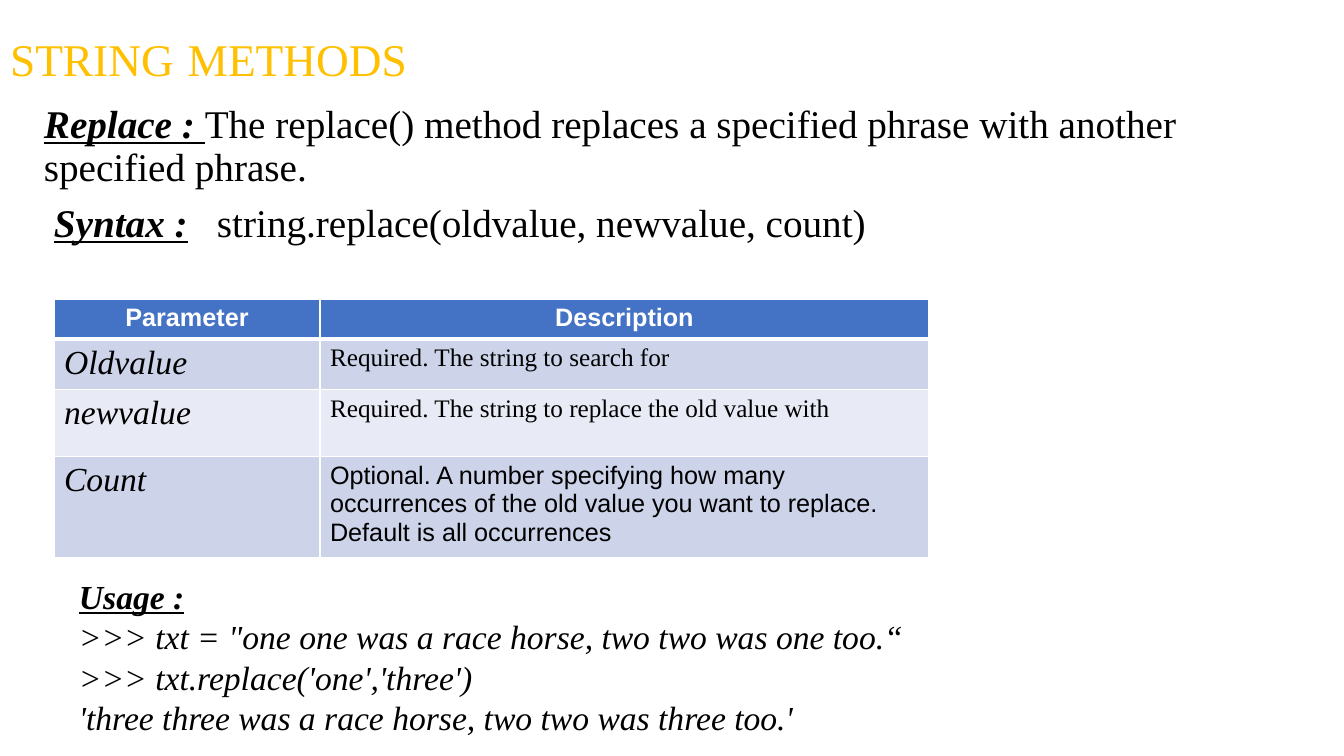
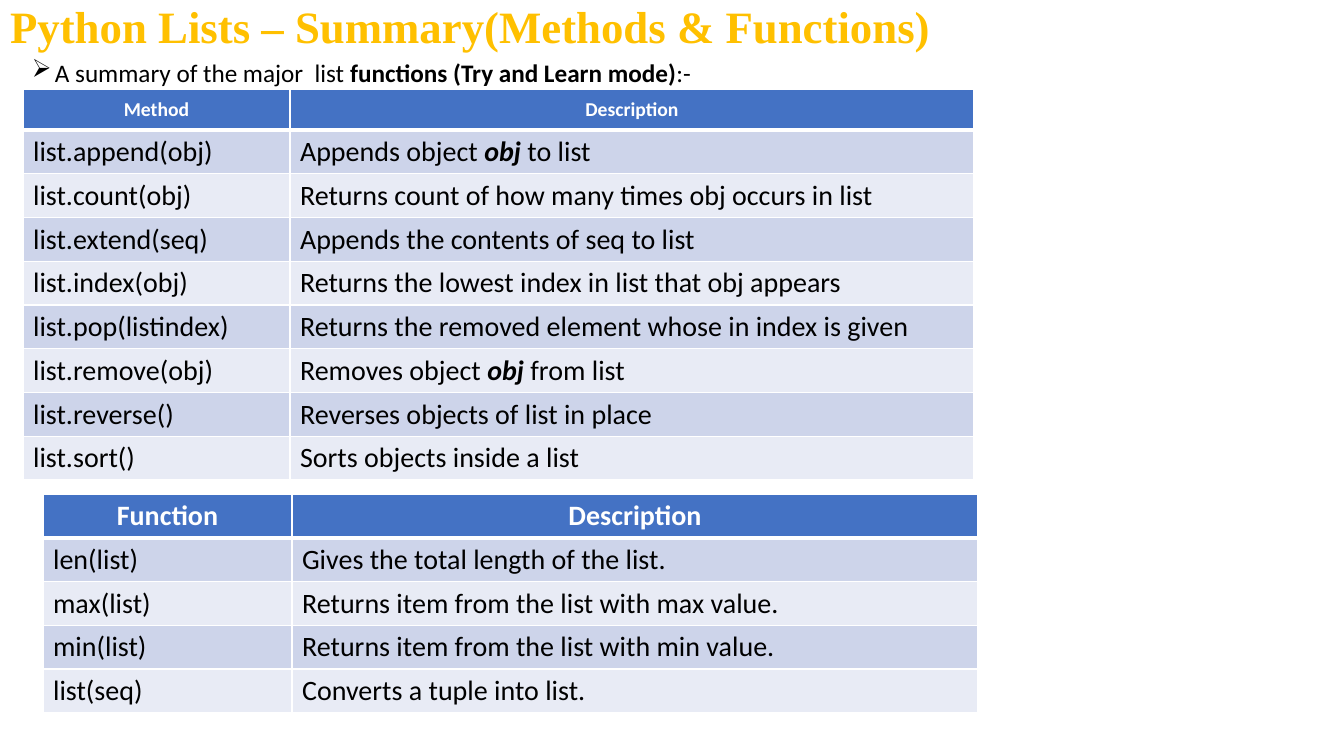
import dataclasses

import lxml.etree
import pptx
import pptx.dml.color
import pptx.enum.text
import pptx.oxml.ns
import pptx.util

SLIDE_WIDTH, SLIDE_HEIGHT = 1344, 756
SCALE = 12192000 / SLIDE_WIDTH
TITLE_ONLY = 5
LEFT = pptx.enum.text.PP_ALIGN.LEFT
CENTER = pptx.enum.text.PP_ALIGN.CENTER
TOP = pptx.enum.text.MSO_ANCHOR.TOP
MIDDLE = pptx.enum.text.MSO_ANCHOR.MIDDLE
SERIF, SANS, BODY = "Times New Roman", "Arial", "Calibri"
ARROW_FONT, ARROW_CHARACTER = "Wingdings", "Ø"
GOLD, BLACK, WHITE = "FFC000", "000000", "FFFFFF"
HEADER_FILL = "4472C4"
BAND_FILLS = ("CDD4EA", "E8EBF5")


@dataclasses.dataclass(frozen=True)
class Style:
    font: str
    size: float
    color: str = BLACK
    bold: bool = False
    italic: bool = False
    underline: bool = False


def px(length):
    return pptx.util.Emu(round(length * SCALE))


def rgb(color):
    return pptx.dml.color.RGBColor.from_string(color)


def add_element(parent, tag, **attributes):
    return lxml.etree.SubElement(parent, pptx.oxml.ns.qn(tag), **attributes)


def write_paragraph(paragraph, runs, align=LEFT, spacing=None):
    paragraph.alignment = align
    if spacing:
        paragraph.line_spacing = spacing
    for text, style in runs:
        run = paragraph.add_run()
        run.text = text
        run.font.name = style.font
        run.font.size = pptx.util.Pt(style.size)
        run.font.color.rgb = rgb(style.color)
        run.font.bold = style.bold
        run.font.italic = style.italic
        run.font.underline = style.underline


def set_indent(paragraph, margin, first_line=0):
    properties = paragraph._p.get_or_add_pPr()
    properties.set("marL", str(px(margin)))
    properties.set("indent", str(px(first_line)))
    return properties


def set_arrow_bullet(paragraph, hang):
    properties = set_indent(paragraph, hang, -hang)
    add_element(properties, "a:buFont", typeface=ARROW_FONT, pitchFamily="2", charset="2")
    add_element(properties, "a:buChar", char=ARROW_CHARACTER)


def underline_header(cell):
    properties = cell._tc.get_or_add_tcPr()
    line = add_element(properties, "a:lnB", w=str(pptx.util.Pt(3)))
    add_element(add_element(line, "a:solidFill"), "a:srgbClr", val=WHITE)
    properties.insert(0, line)


def add_title_slide(presentation, box, runs):
    slide = presentation.slides.add_slide(presentation.slide_layouts[TITLE_ONLY])
    title = slide.shapes.title
    title.left, title.top, title.width, title.height = map(px, box)
    title.text_frame.auto_size = pptx.enum.text.MSO_AUTO_SIZE.NONE
    title.text_frame.vertical_anchor = MIDDLE
    write_paragraph(title.text_frame.paragraphs[0], runs, spacing=0.9)
    return slide


def add_text(slide, box, lines, spacing=None):
    text_frame = slide.shapes.add_textbox(*map(px, box)).text_frame
    text_frame.word_wrap = True
    for index, runs in enumerate(lines):
        paragraph = text_frame.add_paragraph() if index else text_frame.paragraphs[0]
        write_paragraph(paragraph, runs, spacing=spacing)
    return text_frame.paragraphs


def add_banded_table(slide, origin, widths, heights, header, header_style, rows, anchor=TOP):
    left, top = origin
    frame = slide.shapes.add_table(
        len(heights), len(widths), px(left), px(top), px(sum(widths)), px(sum(heights)))
    table = frame.table
    for column, width in zip(table.columns, widths):
        column.width = px(width)
    for row, height in zip(table.rows, heights):
        row.height = px(height)
    header_cells = [[(name, header_style)] for name in header]
    for row_index, row_cells in enumerate([header_cells] + rows):
        is_header = row_index == 0
        fill = HEADER_FILL if is_header else BAND_FILLS[(row_index - 1) % 2]
        for column_index, runs in enumerate(row_cells):
            cell = table.cell(row_index, column_index)
            cell.fill.solid()
            cell.fill.fore_color.rgb = rgb(fill)
            cell.vertical_anchor = anchor
            if is_header:
                underline_header(cell)
            write_paragraph(cell.text_frame.paragraphs[0], runs, CENTER if is_header else LEFT)


def build_string_methods(presentation):
    heading = Style(SERIF, 32.4, GOLD)
    slide = add_title_slide(presentation, (0, 21, 1159, 76), [
        ("STRING", heading), (" ", Style(SERIF, 39.6)), ("METHODS", heading)])

    plain = Style(SERIF, 28)
    label = dataclasses.replace(plain, bold=True, italic=True, underline=True)
    paragraphs = add_text(slide, (34, 100, 1209, 160), [
        [("Replace : ", label),
         ("The replace() method replaces a specified phrase with another specified phrase.", plain)],
        [("Syntax :", label), ("   string.replace(oldvalue, newvalue, count)", plain)],
    ], spacing=0.9)
    paragraphs[1].space_before = pptx.util.Pt(10)
    set_indent(paragraphs[1], 10)

    name = Style(SERIF, 24, italic=True)
    detail = Style(SERIF, 18)
    add_banded_table(
        slide, (54, 299), (266, 609), (25, 47, 67, 66),
        ("Parameter", "Description"), Style(SANS, 18, WHITE, bold=True), [
            [[("Oldvalue", name)], [("Required. The string to search for", detail)]],
            [[("newvalue", name)],
             [("Required. The string to replace the old value with", detail)]],
            [[("Count", name)],
             [("Optional. A number specifying how many occurrences of the old value "
               "you want to replace. Default is all occurrences", Style(SANS, 18))]],
        ])

    usage = dataclasses.replace(name, bold=True, underline=True)
    add_text(slide, (69, 571, 924, 170), [
        [("Usage :", usage)],
        [('>>> txt = "one one was a race horse, two two was one too.“', name)],
        [(">>> txt.replace('one','three')", name)],
        [("'three three was a race horse, two two was three too.'", name)],
    ])


def build_list_summary(presentation):
    slide = add_title_slide(presentation, (0, 0, 982, 57), [
        ("Python Lists – Summary(Methods & Functions)", Style(SERIF, 32, GOLD, bold=True))])

    intro = Style(BODY, 18)
    paragraphs = add_text(slide, (22, 52, 688, 40), [[
        ("A summary of the major  list ", intro),
        ("functions (Try and Learn mode)", dataclasses.replace(intro, bold=True)),
        (":-", intro)]])
    set_arrow_bullet(paragraphs[0], 23)

    entry = Style(BODY, 20)
    emphasis = dataclasses.replace(entry, bold=True, italic=True)

    def object_row(method, before, after):
        return [[(method, entry)], [(before, entry), ("obj", emphasis), (after, entry)]]

    def entry_rows(pairs):
        return [[[(text, entry)] for text in pair] for pair in pairs]

    methods = [object_row("list.append(obj)", "Appends object ", " to list")]
    methods += entry_rows([
        ("list.count(obj)", "Returns count of how many times obj occurs in list"),
        ("list.extend(seq)", "Appends the contents of seq to list"),
        ("list.index(obj)", "Returns the lowest index in list that obj appears"),
        ("list.pop(listindex)", "Returns the removed element whose in index is given"),
    ])
    methods.append(object_row("list.remove(obj)", "Removes object ", " from list"))
    methods += entry_rows([
        ("list.reverse()", "Reverses objects of list in place"),
        ("list.sort()", "Sorts objects inside a list"),
    ])
    add_banded_table(
        slide, (23, 89), (267, 684), [41] * (len(methods) + 1),
        ("Method", "Description"), Style(BODY, 14, WHITE, bold=True), methods, MIDDLE)

    functions = entry_rows([
        ("len(list)", "Gives the total length of the list."),
        ("max(list)", "Returns item from the list with max value."),
        ("min(list)", "Returns item from the list with min value."),
        ("list(seq)", "Converts a tuple into list."),
    ])
    add_banded_table(
        slide, (43, 494), (249, 686), [37] * (len(functions) + 1),
        ("Function", "Description"), Style(BODY, 20, WHITE, bold=True), functions)


def main():
    presentation = pptx.Presentation()
    presentation.slide_width = px(SLIDE_WIDTH)
    presentation.slide_height = px(SLIDE_HEIGHT)
    build_string_methods(presentation)
    build_list_summary(presentation)
    presentation.save("out.pptx")


if __name__ == "__main__":
    main()
